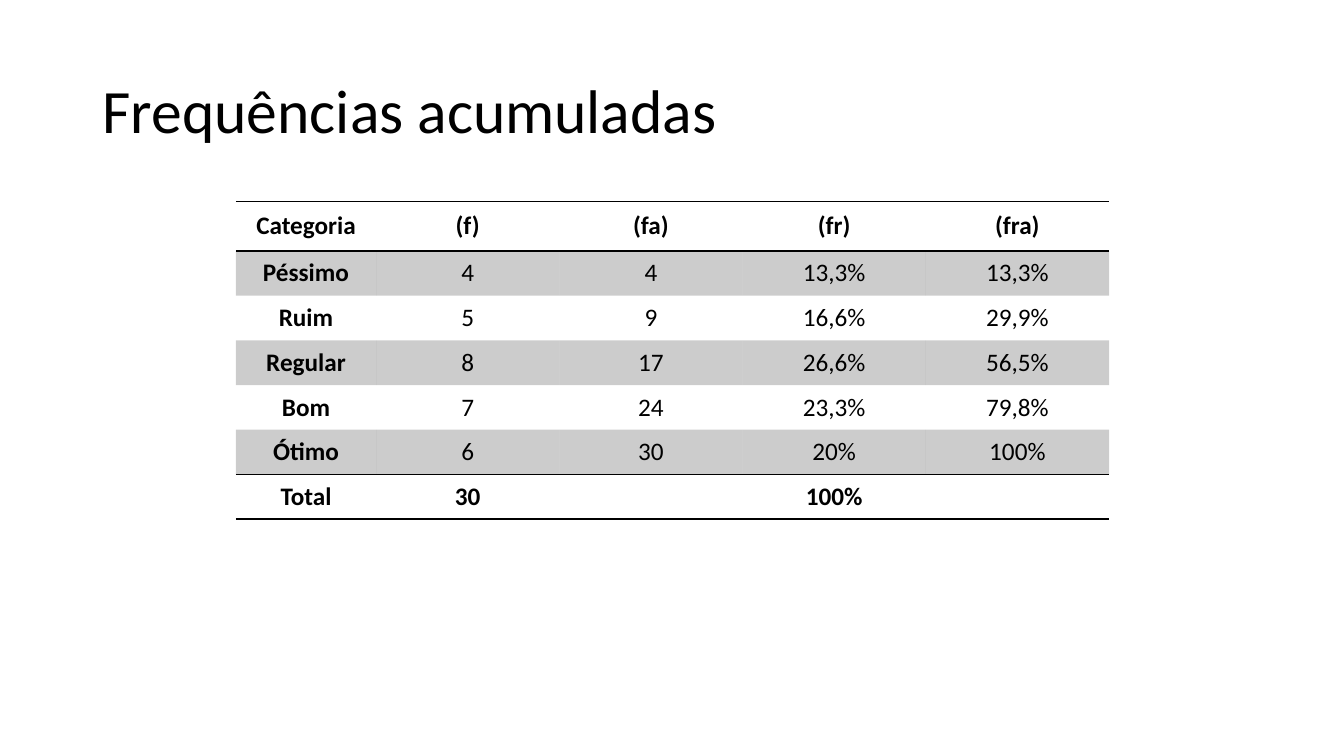
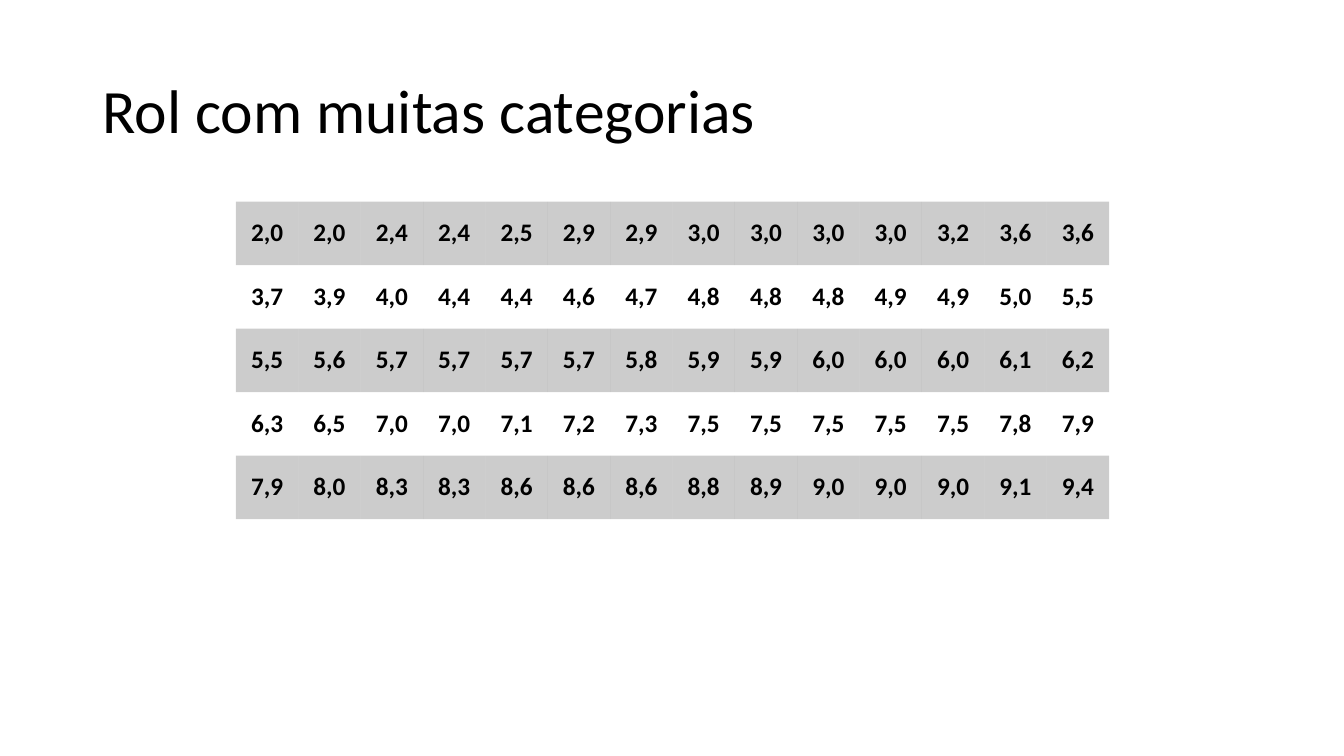
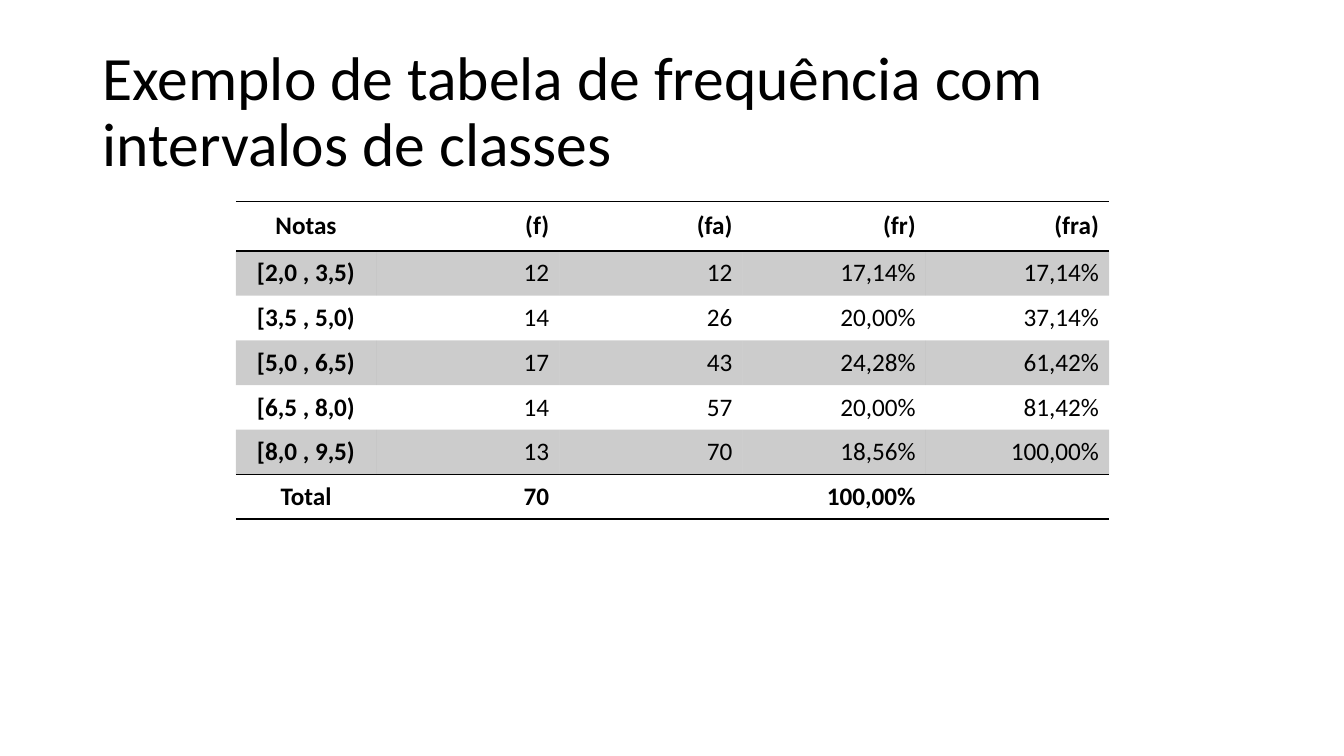
"""Build three slides of frequency tables."""
import pptx
import pptx.util
import pptx.dml.color
import pptx.enum.text
import pptx.oxml
import pptx.oxml.ns

Inches = pptx.util.Inches
Pt = pptx.util.Pt
BLACK = pptx.dml.color.RGBColor(0, 0, 0)
ALIGN = pptx.enum.text.PP_ALIGN
MIDDLE = pptx.enum.text.MSO_ANCHOR.MIDDLE
qn = pptx.oxml.ns.qn

TITLE = {"name": "Calibri", "size": Pt(44), "bold": False}
BODY = {"name": "Calibri", "size": Pt(18), "bold": False}
STRONG = {**BODY, "bold": True}
NO_GRID = "{2D5ABB26-0587-4C30-8999-92F81FD0307C}"
WIDE, HIGH = 8.66, 3.15
HEAD_COL, HEAD_ROW = 1.39, 0.49
RULE = (
    '<a:%s xmlns:a="http://schemas.openxmlformats.org/drawingml/2006/main" w="12700">'
    f'<a:solidFill><a:srgbClr val="{BLACK}"/></a:solidFill></a:%s>'
)


def write(para, text, style):
    run = para.add_run()
    run.text = text
    for key, value in style.items():
        setattr(run.font, key, value)
    run.font.color.rgb = BLACK


def shade(cell):
    cell.fill.solid()
    cell.fill.fore_color.rgb = BLACK
    color = cell._tc.tcPr.find(qn("a:solidFill")).find(qn("a:srgbClr"))
    pptx.oxml.ns.qn("a:alpha")
    color.append(color.makeelement(qn("a:alpha"), {"val": "20000"}))


totals = [
    ["Categoria", "(f)", "(fa)", "(fr)", "(fra)"],
    ["Péssimo", "4", "4", "13,3%", "13,3%"],
    ["Ruim", "5", "9", "16,6%", "29,9%"],
    ["Regular", "8", "17", "26,6%", "56,5%"],
    ["Bom", "7", "24", "23,3%", "79,8%"],
    ["Ótimo", "6", "30", "20%", "100%"],
    ["Total", "30", "", "100%", ""],
]
grades = [line.split() for line in (
    "2,0 2,0 2,4 2,4 2,5 2,9 2,9 3,0 3,0 3,0 3,0 3,2 3,6 3,6",
    "3,7 3,9 4,0 4,4 4,4 4,6 4,7 4,8 4,8 4,8 4,9 4,9 5,0 5,5",
    "5,5 5,6 5,7 5,7 5,7 5,7 5,8 5,9 5,9 6,0 6,0 6,0 6,1 6,2",
    "6,3 6,5 7,0 7,0 7,1 7,2 7,3 7,5 7,5 7,5 7,5 7,5 7,8 7,9",
    "7,9 8,0 8,3 8,3 8,6 8,6 8,6 8,8 8,9 9,0 9,0 9,0 9,1 9,4",
)]
ranges = [
    ["Notas", "(f)", "(fa)", "(fr)", "(fra)"],
    ["[2,0 , 3,5)", "12", "12", "17,14%", "17,14%"],
    ["[3,5 , 5,0)", "14", "26", "20,00%", "37,14%"],
    ["[5,0 , 6,5)", "17", "43", "24,28%", "61,42%"],
    ["[6,5 , 8,0)", "14", "57", "20,00%", "81,42%"],
    ["[8,0 , 9,5)", "13", "70", "18,56%", "100,00%"],
    ["Total", "70", "", "100,00%", ""],
]
pages = [
    ("Frequências acumuladas", totals, True, ALIGN.CENTER),
    ("Rol com muitas categorias", grades, False, ALIGN.CENTER),
    ("Exemplo de tabela de frequência com intervalos de classes", ranges, True, ALIGN.RIGHT),
]

deck = pptx.Presentation()
deck.slide_width, deck.slide_height = Inches(13.33), Inches(7.5)

for title, rows, framed, align in pages:
    slide = deck.slides.add_slide(deck.slide_layouts[6])
    frame = slide.shapes.add_textbox(
        Inches(0.92), Inches(0.4), Inches(11.5), Inches(1.45)).text_frame
    frame.word_wrap = True
    frame.vertical_anchor = MIDDLE
    frame.paragraphs[0].line_spacing = 0.9
    write(frame.paragraphs[0], title, TITLE)

    high, wide = len(rows), len(rows[0])
    table = slide.shapes.add_table(
        high, wide, Inches(2.34), Inches(2), Inches(WIDE), Inches(HIGH)).table
    table.first_row = table.horz_banding = False
    table._tbl.tblPr.find(qn("a:tableStyleId")).text = NO_GRID
    if framed:
        for col in table.columns:
            col.width = Inches((WIDE - HEAD_COL) / (wide - 1))
        for row in table.rows:
            row.height = Inches((HIGH - HEAD_ROW) / (high - 1))
        table.columns[0].width = Inches(HEAD_COL)
        table.rows[0].height = Inches(HEAD_ROW)

    for r, row in enumerate(rows):
        edge = framed and r in (0, high - 1)
        for c, text in enumerate(row):
            cell = table.cell(r, c)
            cell.vertical_anchor = MIDDLE
            para = cell.text_frame.paragraphs[0]
            para.alignment = align if c else ALIGN.CENTER
            if text:
                bold = edge or not framed or c == 0
                write(para, text, STRONG if bold else BODY)
            if edge:
                for side in ("lnT", "lnB"):
                    cell._tc.tcPr.append(pptx.oxml.parse_xml(RULE % (side, side)))
            if r % 2 == framed:
                shade(cell)
            else:
                cell.fill.background()

deck.save("out.pptx")
